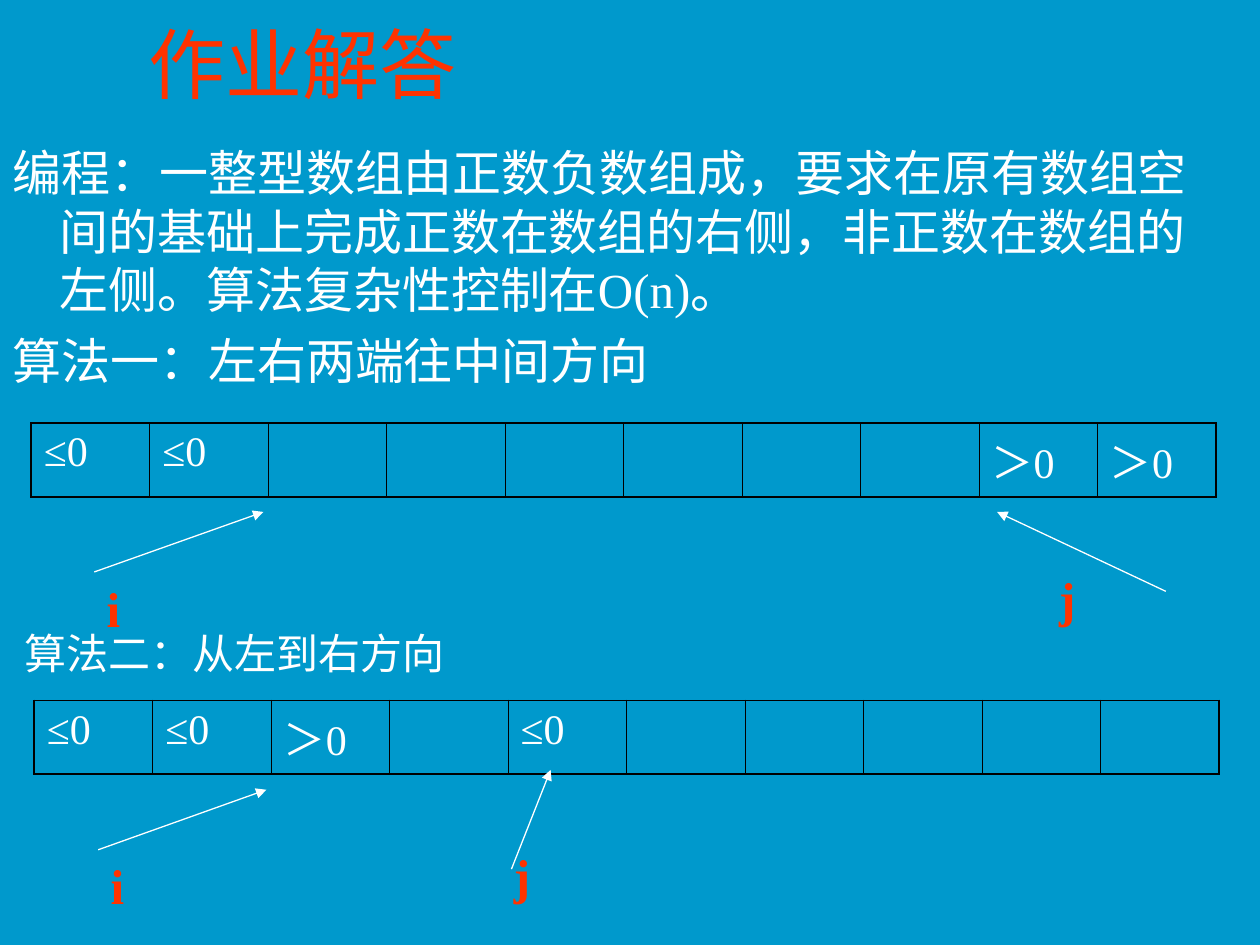
from dataclasses import dataclass

from lxml.etree import SubElement
from pptx import Presentation
from pptx.dml.color import RGBColor
from pptx.enum.shapes import MSO_CONNECTOR
from pptx.enum.text import MSO_ANCHOR, MSO_AUTO_SIZE, PP_ALIGN
from pptx.oxml import parse_xml
from pptx.oxml.ns import nsdecls, qn
from pptx.util import Cm, Pt

BLUE = RGBColor(0x00, 0x99, 0xCC)
RED = RGBColor(0xFF, 0x33, 0x00)
WHITE = RGBColor(0xFF, 0xFF, 0xFF)
BLACK = RGBColor(0x00, 0x00, 0x00)
FONT = "Times New Roman"
CELL_COUNT = 10
HANGING = 0.95
OUTER, INNER = 1.08, 0.45


@dataclass
class Style:
    size: float
    color: RGBColor
    bold: bool = False


@dataclass
class Label:
    text: str
    left: float
    top: float
    width: float
    height: float
    style: Style


@dataclass
class Arrow:
    start: tuple[float, float]
    end: tuple[float, float]


@dataclass
class ArrayRow:
    left: float
    top: float
    height: float
    values: dict[int, str]


TITLE = Style(44, RED)
BODY = Style(28, WHITE)
CELL = Style(24, WHITE)
INDEX = Style(28, RED, True)

PARAGRAPHS = [
    "编程：一整型数组由正数负数组成，要求在原有数组空间的基础上完成正数在数组的右侧，"
    "非正数在数组的左侧。算法复杂性控制在O(n)。",
    "算法一：左右两端往中间方向",
]
ARRAYS = [
    ArrayRow(0.63, 8.53, 1.49, {0: "≤0", 1: "≤0", 8: "＞0", 9: "＞0"}),
    ArrayRow(0.69, 14.12, 1.4, {0: "≤0", 1: "≤0", 2: "＞0", 4: "≤0"}),
]
ARROWS = [
    Arrow((1.9, 11.53), (5.31, 10.32)),
    Arrow((23.5, 11.92), (20.1, 10.32)),
    Arrow((1.98, 17.13), (5.37, 15.92)),
    Arrow((10.31, 17.52), (11.1, 15.52)),
]
LABELS = [
    Label("i", 1.9, 11.53, 3.25, 1.45, INDEX),
    Label("j", 21.1, 11.33, 3.25, 1.45, INDEX),
    Label("算法二：从左到右方向", 0.25, 12.52, 19.86, 1.27, CELL),
    Label("i", 1.98, 17.13, 3.25, 1.45, INDEX),
    Label("j", 10.11, 16.92, 3.25, 1.45, INDEX),
]


def set_all(target, values: dict) -> None:
    for name, value in values.items():
        setattr(target, name, value)


def write(para, text: str, style: Style) -> None:
    span = para.add_run()
    span.text = text
    set_all(span.font, {"name": FONT, "size": Pt(style.size), "bold": style.bold})
    span.font.color.rgb = style.color


def place(shape, left: float, top: float, width: float, height: float) -> None:
    set_all(shape, {"left": Cm(left), "top": Cm(top), "width": Cm(width), "height": Cm(height)})


def hang(para) -> None:
    properties = para._p.get_or_add_pPr()
    properties.set("marL", str(Cm(HANGING)))
    properties.set("indent", str(-Cm(HANGING)))
    SubElement(properties, qn("a:buNone"))


def fill_title(title) -> None:
    place(title, 2.74, 0.2, 21.59, 2.11)
    set_all(title.text_frame, {"vertical_anchor": MSO_ANCHOR.MIDDLE, "auto_size": MSO_AUTO_SIZE.NONE})
    para = title.text_frame.paragraphs[0]
    para.alignment = PP_ALIGN.LEFT
    write(para, "作业解答", TITLE)


def fill_body(body) -> None:
    place(body, 0, 2.74, 24.89, 16.31)
    frame = body.text_frame
    frame.auto_size = MSO_AUTO_SIZE.NONE
    for number, text in enumerate(PARAGRAPHS):
        para = frame.add_paragraph() if number else frame.paragraphs[0]
        hang(para)
        para.space_before = Pt(7 if number else 0)
        write(para, text, BODY)


def add_label(page, label: Label) -> None:
    box = page.shapes.add_textbox(Cm(label.left), Cm(label.top), Cm(label.width), Cm(label.height))
    set_all(box.text_frame, {"word_wrap": True, "auto_size": MSO_AUTO_SIZE.SHAPE_TO_FIT_TEXT})
    para = box.text_frame.paragraphs[0]
    hang(para)
    write(para, label.text, label.style)


def add_borders(cell, column: int) -> None:
    widths = {
        "lnL": INNER if column else OUTER,
        "lnR": INNER if column < CELL_COUNT - 1 else OUTER,
        "lnT": OUTER,
        "lnB": OUTER,
    }
    properties = cell._tc.get_or_add_tcPr()
    for position, (tag, width) in enumerate(widths.items()):
        border = parse_xml(
            f'<a:{tag} {nsdecls("a")} w="{Pt(width)}"><a:solidFill>'
            f'<a:srgbClr val="{BLACK}"/></a:solidFill></a:{tag}>'
        )
        properties.insert(position, border)


def add_array(page, row: ArrayRow) -> None:
    frame = page.shapes.add_table(
        1, CELL_COUNT, Cm(row.left), Cm(row.top), Cm(23.88), Cm(row.height)
    )
    set_all(frame.table, {"first_row": False, "horz_banding": False})
    for column, cell in enumerate(frame.table.iter_cells()):
        cell.fill.background()
        add_borders(cell, column)
        if column in row.values:
            write(cell.text_frame.paragraphs[0], row.values[column], CELL)


def add_arrow(page, arrow: Arrow) -> None:
    points = [Cm(value) for value in (*arrow.start, *arrow.end)]
    connector = page.shapes.add_connector(MSO_CONNECTOR.STRAIGHT, *points)
    connector.line.color.rgb = WHITE
    connector.line.width = Pt(0.75)
    SubElement(connector.line._get_or_add_ln(), qn("a:tailEnd"), type="triangle")
    SubElement(connector._element.spPr, qn("a:effectLst"))


def main() -> None:
    deck = Presentation()
    set_all(deck, {"slide_width": Cm(25.4), "slide_height": Cm(19.05)})
    page = deck.slides.add_slide(deck.slide_layouts[1])
    page.background.fill.solid()
    page.background.fill.fore_color.rgb = BLUE
    fill_title(page.shapes.title)
    fill_body(page.placeholders[1])
    for row in ARRAYS:
        add_array(page, row)
    for arrow in ARROWS:
        add_arrow(page, arrow)
    for label in LABELS:
        add_label(page, label)
    deck.save("out.pptx")


if __name__ == "__main__":
    main()
